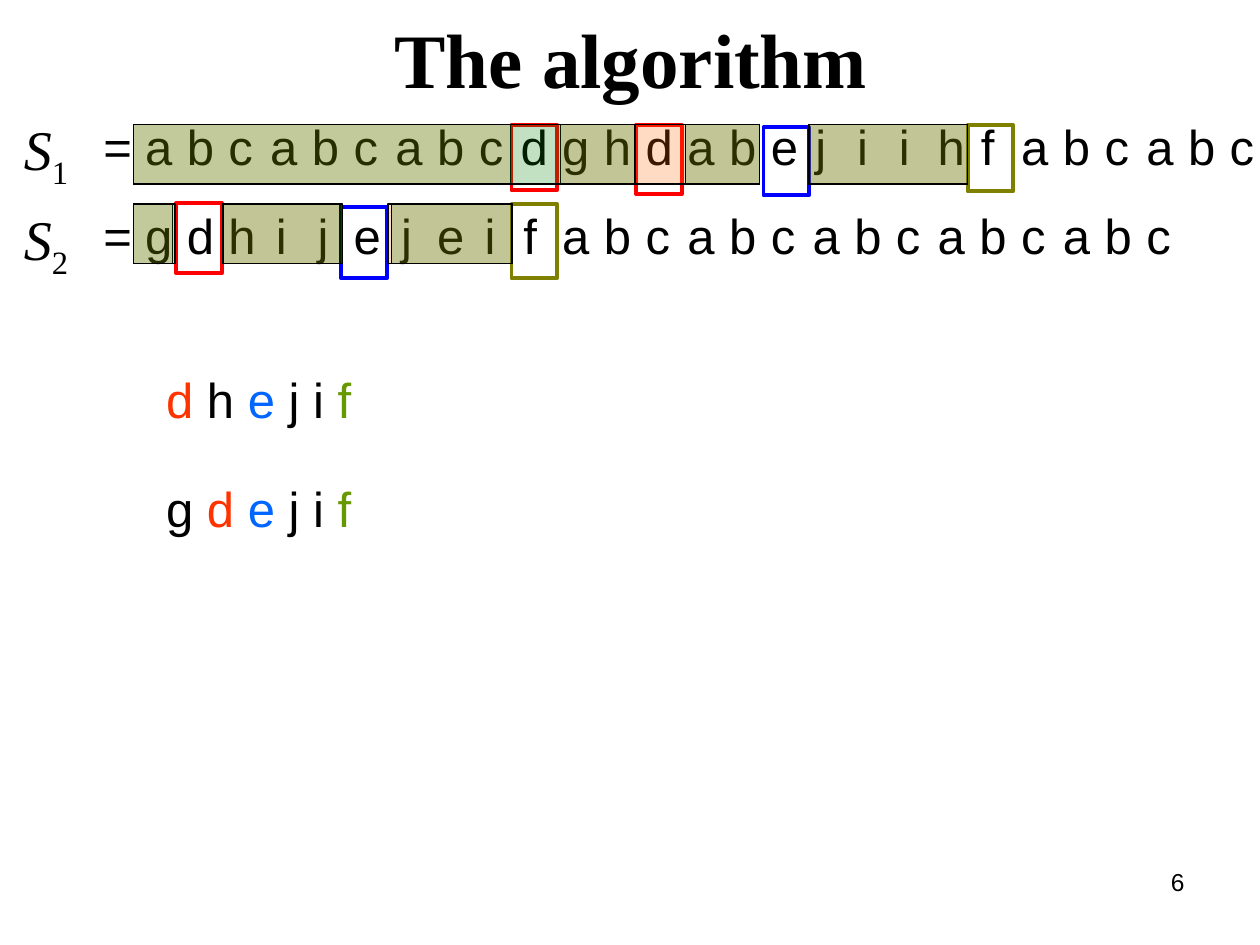
"""Build the slide that traces the common subsequence algorithm on two strings."""
from lxml import etree
from pptx import Presentation
from pptx.dml.color import RGBColor
from pptx.enum.shapes import MSO_SHAPE
from pptx.enum.text import MSO_ANCHOR, PP_ALIGN
from pptx.oxml.ns import qn
from pptx.util import Inches, Pt

RECTANGLE = MSO_SHAPE.RECTANGLE
MIDDLE = MSO_ANCHOR.MIDDLE
LEFT, CENTER, RIGHT = PP_ALIGN.LEFT, PP_ALIGN.CENTER, PP_ALIGN.RIGHT

COLORS = {
    "black": "000000", "red": "FF0000", "blue": "0000FF", "olive": "808000",
    "orange": "FF6600", "green": "008000",
    "red text": "FF3300", "blue text": "0066FF", "green text": "669900",
}
SERIF = {"name": "Times New Roman", "size": Pt(32)}
SANS = {"name": "Arial", "size": Pt(28)}

TITLE = "The algorithm"
STRINGS = [
    ("1", "abcabcabcdghdabejiihfabcabc", CENTER),
    ("2", "gdhijejeifabcabcabcabcabc", RIGHT),
]
TABLE_LEFT, TABLE_TOP, TABLE_WIDTH = 0.09, 0.91, 9.91
NAME_WIDTH, ROW_HEIGHT = 0.63, 0.71

MARK_WIDTH = 0.36
MARKS = [
    ("red", 4.06, 0.99, 0.52), ("red", 5.05, 0.99, 0.55), ("red", 1.4, 1.61, 0.56),
    ("blue", 2.71, 1.64, 0.57), ("blue", 6.06, 1.01, 0.54),
    ("olive", 4.06, 1.62, 0.59), ("olive", 7.68, 0.99, 0.53),
]
SHADE_TOPS, SHADE_HEIGHT = (0.99, 1.62), 0.47
ORANGE_SHADES = [
    (0, 1.06, 2.99, 20), (1, 1.06, 0.31, 20), (0, 4.45, 1.58, 23),
    (1, 1.77, 0.93, 23), (1, 3.08, 0.99, 23), (0, 6.42, 1.26, 23),
]
GREEN_SHADES = [
    (1, 1.06, 0.33, 24), (0, 1.06, 3.98, 24), (0, 5.44, 0.59, 24),
    (1, 1.77, 0.95, 24), (1, 3.11, 0.95, 24), (0, 6.42, 1.26, 24),
]
FIRST_RESULT = [("d", "red text"), (" h ", "black"), ("e", "blue text"),
                (" j i ", "black"), ("f", "green text")]
SECOND_RESULT = [("g", "black"), (" d ", "red text"), ("e", "blue text"),
                 (" j i ", "black"), ("f", "green text")]


def add_span(para, text, color="black", baseline=None, **values):
    span = para.add_run()
    span.text = text
    span.font.color.rgb = RGBColor.from_string(COLORS[color])
    for name, value in values.items():
        setattr(span.font, name, value)
    if baseline:
        span.font._element.set("baseline", str(baseline * 1000))


def add_title(page):
    title = page.shapes.title
    title.left, title.top, title.width, title.height = map(Inches, (0.51, 0, 9, 0.91))
    title.text_frame.vertical_anchor = MIDDLE
    para = title.text_frame.paragraphs[0]
    para.alignment = CENTER
    add_span(para, TITLE, name="Times New Roman", size=Pt(44), bold=True)


def add_strings(page):
    count = 2 + max(len(letters) for _, letters, _ in STRINGS)
    frame = page.shapes.add_table(
        len(STRINGS), count, Inches(TABLE_LEFT), Inches(TABLE_TOP),
        Inches(TABLE_WIDTH), Inches(ROW_HEIGHT * len(STRINGS)))
    table = frame.table
    table.first_row = table.horz_banding = False
    letter_width = (TABLE_WIDTH - NAME_WIDTH) / (count - 1)
    for index, column in enumerate(table.columns):
        column.width = Inches(letter_width if index else NAME_WIDTH)
    for row, (number, letters, alignment) in enumerate(STRINGS):
        table.rows[row].height = Inches(ROW_HEIGHT)
        for cell in table.rows[row].cells:
            cell.fill.background()
        name_para = table.cell(row, 0).text_frame.paragraphs[0]
        name_para.alignment = LEFT
        add_span(name_para, "S", italic=True, **SERIF)
        add_span(name_para, number, baseline=-25, **SERIF)
        for column, letter in enumerate("=" + letters, start=1):
            para = table.cell(row, column).text_frame.paragraphs[0]
            para.alignment = alignment if column > 1 else CENTER
            add_span(para, letter, **SANS)


def add_rectangle(page, left, top, width, height, line, weight):
    box = page.shapes.add_shape(RECTANGLE, *map(Inches, (left, top, width, height)))
    box.shadow.inherit = False
    box.fill.background()
    box.line.color.rgb = RGBColor.from_string(COLORS[line])
    box.line.width = Pt(weight)
    return box


def add_shades(page, color, shades):
    for row, left, width, opacity in shades:
        box = add_rectangle(page, left, SHADE_TOPS[row], width, SHADE_HEIGHT, "black", 0.75)
        box.fill.solid()
        box.fill.fore_color.rgb = RGBColor.from_string(COLORS[color])
        fill_color = box._element.spPr.find(qn("a:solidFill"))[0]
        etree.SubElement(fill_color, qn("a:alpha"), val=str(opacity * 1000))


def add_text(page, place, spans, alignment=LEFT, size=28):
    box = page.shapes.add_textbox(*map(Inches, place))
    box.text_frame.word_wrap = True
    para = box.text_frame.paragraphs[0]
    para.alignment = alignment
    for text, color in spans:
        add_span(para, text, color, name="Arial", size=Pt(size))


def main():
    deck = Presentation()
    deck.slide_width, deck.slide_height = Inches(10), Inches(7.5)
    page = deck.slides.add_slide(deck.slide_layouts[5])
    add_title(page)
    add_strings(page)
    for color, left, top, height in MARKS:
        add_rectangle(page, left, top, MARK_WIDTH, height, color, 2.25)
    add_shades(page, "orange", ORANGE_SHADES)
    add_text(page, (1.22, 2.88, 1.81, 0.57), FIRST_RESULT)
    add_shades(page, "green", GREEN_SHADES)
    add_text(page, (1.22, 3.75, 2.05, 0.57), SECOND_RESULT)
    add_text(page, (7.17, 6.83, 2.33, 0.52), [("6", "black")], RIGHT, 14)
    deck.save("out.pptx")


if __name__ == "__main__":
    main()
